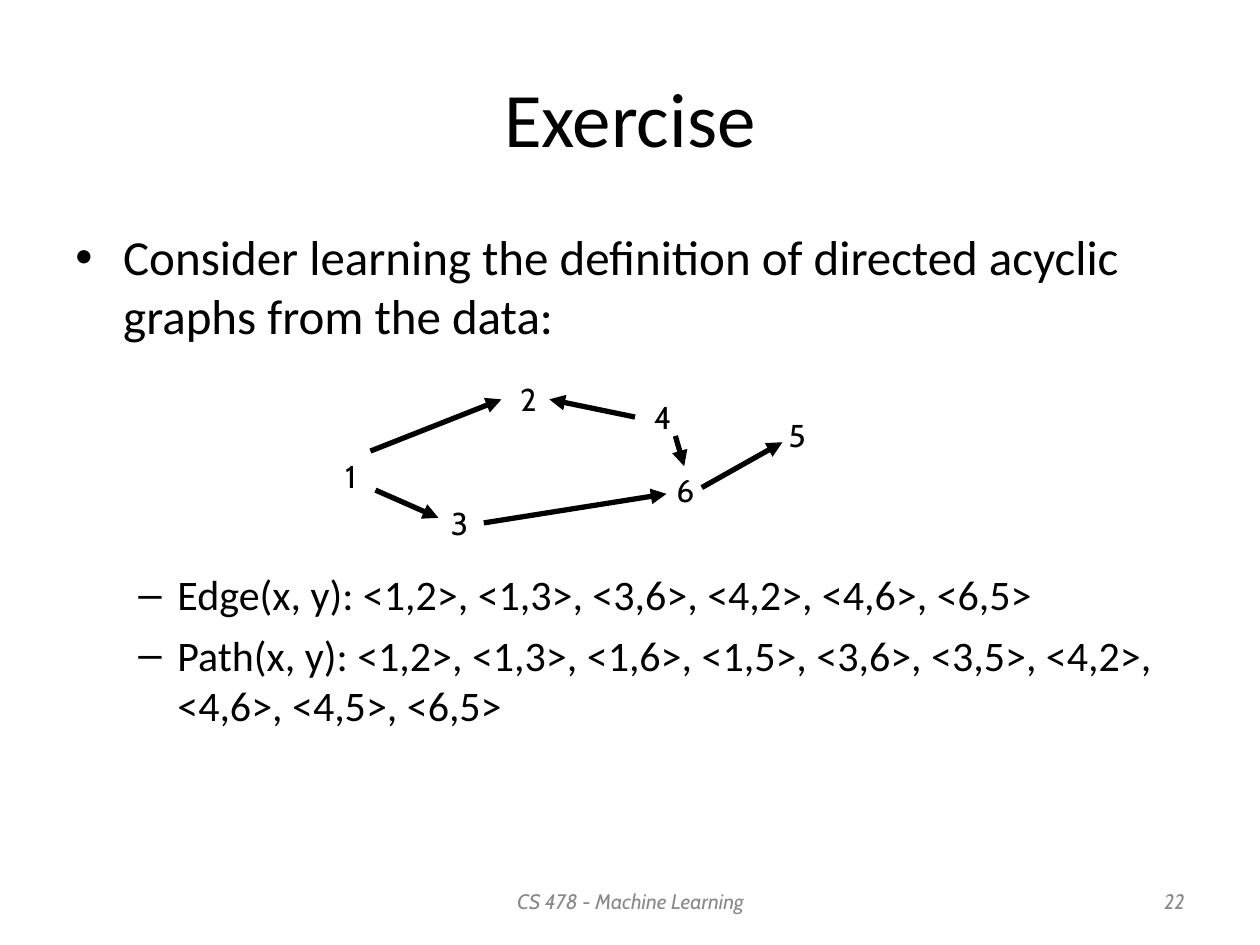
import pptx
import pptx.dml.color
import pptx.enum.shapes
import pptx.enum.text
import pptx.oxml.ns
import pptx.util
from lxml import etree
from pptx.util import Inches

BLACK = pptx.dml.color.RGBColor(0x00, 0x00, 0x00)
GRAY = pptx.dml.color.RGBColor(0x89, 0x89, 0x89)
ALIGN = pptx.enum.text.PP_ALIGN
ANCHOR = pptx.enum.text.MSO_ANCHOR
qn = pptx.oxml.ns.qn

deck = pptx.Presentation()
deck.slide_width, deck.slide_height = Inches(10), Inches(7.5)
page = deck.slides.add_slide(deck.slide_layouts[6])


def style(para, size, name, color=BLACK, italic=False):
    font = para.font
    font.size, font.name, font.italic = pptx.util.Pt(size), name, italic
    font.color.rgb = color


def add_text(place, text, size, name, color=BLACK, align=ALIGN.LEFT,
             anchor=ANCHOR.TOP, italic=False, wrap=True):
    box = page.shapes.add_textbox(*map(Inches, place))
    frame = box.text_frame
    frame.word_wrap = wrap
    frame.vertical_anchor = anchor
    frame.text = text
    frame.paragraphs[0].alignment = align
    style(frame.paragraphs[0], size, name, color, italic)
    return box


# Title
add_text((0.5, 0.3, 9, 1.25), "Exercise", 44, "Calibri",
         align=ALIGN.CENTER, anchor=ANCHOR.MIDDLE)

# Body: text, level, bullet, left margin, hanging indent, size, space before
# The space before the second item leaves room for the graph
items = [
    ("Consider learning the definition of directed acyclic graphs from the data:",
     0, "•", 0.38, 0.38, 28, 0),
    ("Edge(x, y): <1,2>, <1,3>, <3,6>, <4,2>, <4,6>, <6,5>",
     1, "–", 0.81, 0.31, 24, 128),
    ("Path(x, y): <1,2>, <1,3>, <1,6>, <1,5>, <3,6>, <3,5>, <4,2>, <4,6>, <4,5>, <6,5>",
     1, "–", 0.81, 0.31, 24, 6),
]
body = page.shapes.add_textbox(Inches(0.5), Inches(1.75), Inches(9), Inches(4.95))
body.text_frame.word_wrap = True
for index, (text, level, bullet, margin, hanging, size, space) in enumerate(items):
    para = body.text_frame.paragraphs[0] if index == 0 else body.text_frame.add_paragraph()
    para.text = text
    para.level = level
    para.space_before = pptx.util.Pt(space)
    properties = para._p.get_or_add_pPr()
    properties.set("marL", str(Inches(margin)))
    properties.set("indent", str(-Inches(hanging)))
    etree.SubElement(properties, qn("a:buFont"), typeface="Arial")
    etree.SubElement(properties, qn("a:buChar"), char=bullet)
    style(para, size, "Calibri")

# Footer and page number
add_text((3.42, 6.95, 3.17, 0.4), "CS 478 - Machine Learning", 12, "Cabin", GRAY,
         ALIGN.CENTER, ANCHOR.MIDDLE, italic=True)
add_text((7.17, 6.95, 2.33, 0.4), "22", 12, "Cabin", GRAY,
         ALIGN.RIGHT, ANCHOR.MIDDLE, italic=True)

# Graph nodes
nodes = {"1": (2.64, 3.58), "2": (4.03, 2.97), "3": (3.48, 3.95),
         "4": (5.09, 3.11), "5": (6.16, 3.25), "6": (5.27, 3.69)}
for label, (left, top) in nodes.items():
    add_text((left, top, 0.35, 0.4), label, 18, "Cabin", wrap=False)

# Graph edges
edges = [
    (2.94, 3.58, 3.98, 3.17),  # 1 to 2
    (2.98, 3.89, 3.48, 4.11),  # 1 to 3
    (5.04, 3.31, 4.36, 3.17),  # 4 to 2
    (3.84, 4.15, 5.29, 3.92),  # 3 to 6
    (5.36, 3.46, 5.43, 3.70),  # 4 to 6
    (5.57, 3.87, 6.21, 3.51),  # 6 to 5
]
for ends in edges:
    arrow = page.shapes.add_connector(
        pptx.enum.shapes.MSO_CONNECTOR.STRAIGHT, *map(Inches, ends))
    arrow.line.color.rgb = BLACK
    arrow.line.width = pptx.util.Pt(3)
    etree.SubElement(arrow.line._get_or_add_ln(), qn("a:tailEnd"), type="triangle")
    etree.SubElement(arrow._element.spPr, qn("a:effectLst"))

deck.save("out.pptx")
